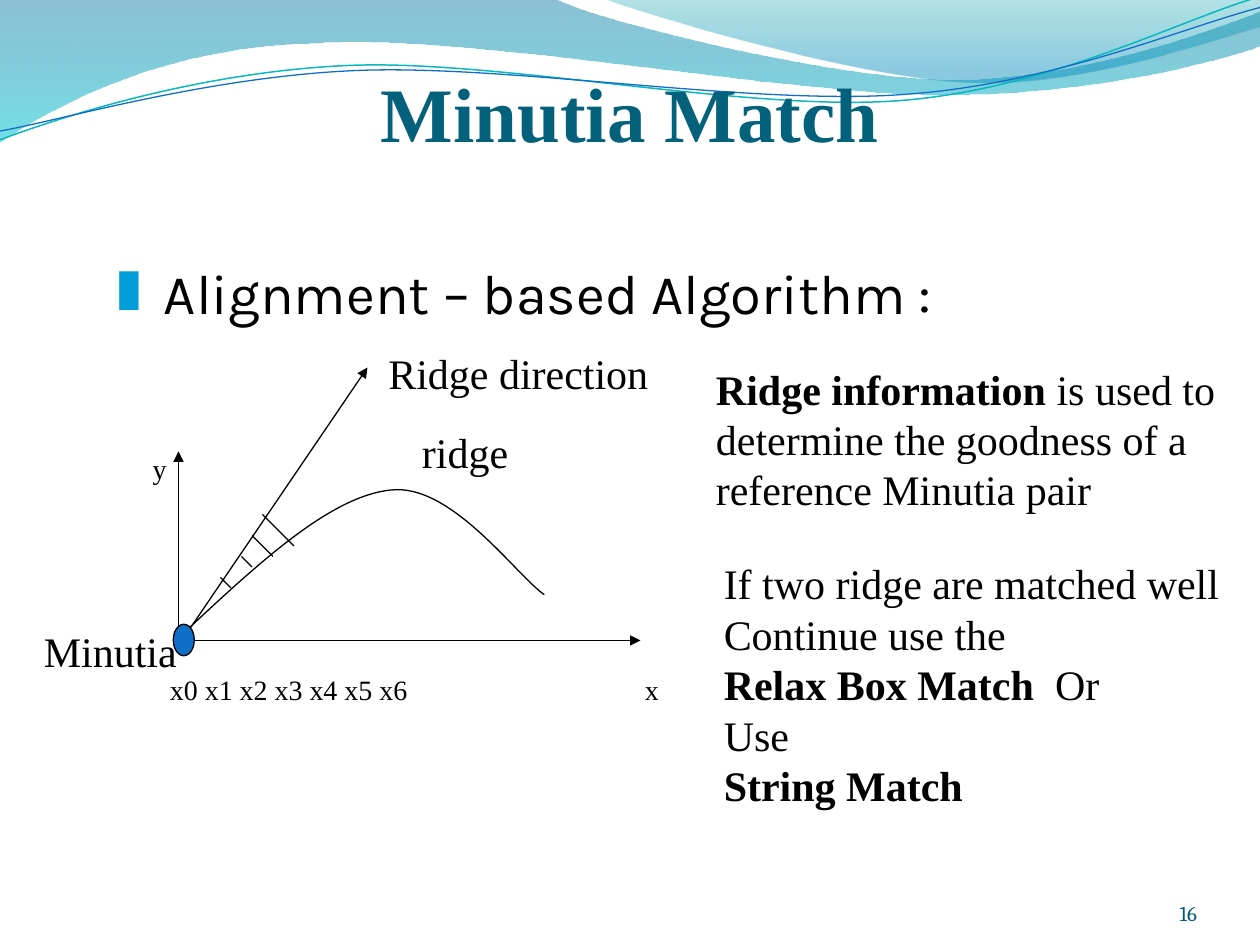
from pptx import Presentation
from pptx.dml.color import RGBColor
from pptx.enum.shapes import MSO_CONNECTOR, MSO_SHAPE
from pptx.enum.text import MSO_ANCHOR, MSO_AUTO_SIZE, PP_ALIGN
from pptx.oxml.ns import qn
from pptx.util import Inches, Pt
from lxml import etree

LEFT, CENTER, RIGHT = PP_ALIGN.LEFT, PP_ALIGN.CENTER, PP_ALIGN.RIGHT
BOTTOM, TOP = MSO_ANCHOR.BOTTOM, MSO_ANCHOR.TOP
FIT, NO_FIT = MSO_AUTO_SIZE.SHAPE_TO_FIT_TEXT, MSO_AUTO_SIZE.NONE
STRAIGHT, OVAL = MSO_CONNECTOR.STRAIGHT, MSO_SHAPE.OVAL
color = RGBColor.from_string

prs = Presentation()
prs.slide_width, prs.slide_height = Inches(10), Inches(7.5)
s = prs.slides.add_slide(prs.slide_layouts[6])
shapes = s.shapes
TENTH = prs.slide_width / 10
CELL = prs.slide_width / 120


def add_curve(segments, closed=False):
    pts = [(round(x * TENTH), round(y * TENTH)) for seg in segments for x, y in seg]
    fb = shapes.build_freeform(*pts[0], scale=1.0)
    fb.add_line_segments(pts[1:], close=closed)
    sp = fb.convert_to_shape()
    sp.shadow.inherit = False
    lines = iter(list(sp._element.spPr.iter(qn("a:lnTo"))))
    for seg in segments[1:]:
        steps = [next(lines) for _ in seg]
        if len(steps) == 3:
            curve = etree.Element(qn("a:cubicBezTo"))
            steps[0].addprevious(curve)
            for step in steps:
                curve.append(step[0])
                step.getparent().remove(step)
    return sp


def add_text(box, paras, size, font="Times New Roman", rgb="000000", wrap=False,
             anchor=TOP, align=LEFT, fit=FIT, insets=(0.1, 0.05, 0.1, 0.05)):
    sp = shapes.add_textbox(*[round(v * CELL) for v in box])
    tf = sp.text_frame
    frame = {"word_wrap": wrap, "auto_size": fit, "vertical_anchor": anchor}
    frame.update(zip(("margin_left", "margin_top", "margin_right", "margin_bottom"),
                     map(Inches, insets)))
    for name, value in frame.items():
        setattr(tf, name, value)
    for i, runs in enumerate(paras):
        p = tf.paragraphs[0] if i == 0 else tf.add_paragraph()
        p.alignment = align
        for text, bold in runs:
            for j, line in enumerate(text.split("\n")):
                if j:
                    p.add_line_break()
                r = p.add_run()
                r.text = line
                for name, value in {"size": Pt(size), "name": font, "bold": bold}.items():
                    setattr(r.font, name, value)
                r.font.color.rgb = color(rgb)
    return tf.paragraphs[0]


waves = [
    ([[(0, 0)], [(4.4, -0.01)], [(4.76, 0.17), (6.64, 0.63), (7.58, 0.63)],
      [(8.53, 0.63), (9.58, 0.26), (10, 0.09)], [(10.01, 0.36)],
      [(9.83, 0.44), (8.7, 0.76), (7.46, 0.75)], [(6.22, 0.75), (3.82, 0.28), (2.57, 0.34)],
      [(1.29, 0.36), (0.46, 0.83), (-0.01, 1.13)]],
     [(0, "0074A1", 45), (1, "00C6CF", 55)]),
    ([[(4.79, -0.01)], [(5.09, 0.11), (6.82, 0.62), (7.69, 0.65)],
      [(8.56, 0.69), (9.61, 0.32), (10, 0.21)], [(10, 0)]],
     [(0, "00A1A9", 30), (0.8, "008BBF", 45)]),
]
for path, stops in waves:
    sp = add_curve(path, closed=True)
    sp.fill.gradient()
    sp.fill.gradient_angle = 270
    for stop, (pos, rgb, alpha) in zip(sp.fill.gradient_stops, stops):
        stop.position = pos
        stop.color.rgb = color(rgb)
    for clr, (pos, rgb, alpha) in zip(sp._element.spPr.iter(qn("a:srgbClr")), stops):
        etree.SubElement(clr, qn("a:alpha"), val=str(alpha * 1000))
    sp.line.fill.background()

strokes = [
    ([[(0, 1.11)], [(0.48, 0.93), (1.58, 0.57), (2.77, 0.52)],
      [(3.95, 0.47), (5.93, 0.89), (7.13, 0.8)], [(8.33, 0.71), (9.38, 0.15), (9.98, -0.02)]],
     "0AB8BF", 0.85),
    ([[(0, 1.04)], [(0.47, 0.96), (1.64, 0.61), (2.83, 0.56)],
      [(4.03, 0.51), (5.97, 0.84), (7.17, 0.75)], [(8.36, 0.67), (9.41, 0.21), (10, 0.06)]],
     "0F6FC6", 0.75),
    ([[(1.42, 5.06)], [(2.02, 4.5), (2.61, 3.94), (3.1, 3.89)],
      [(3.58, 3.83), (4.1, 4.57), (4.32, 4.72)]], "000000", 0.75),
]
for path, rgb, width in strokes:
    sp = add_curve(path)
    sp.fill.background()
    sp.line.color.rgb = color(rgb)
    sp.line.width = Pt(width)

arrows = [(17, 61, 61, 61), (17, 61, 17, 43), (18, 60, 35, 35)]
ticks = [(21, 55, 22, 56), (23, 53, 24, 54), (24, 51, 26, 53), (25, 49, 28, 52)]
for ends in arrows + ticks:
    cx = shapes.add_connector(STRAIGHT, *[round(v * CELL) for v in ends])
    cx.line.color.rgb = color("000000")
    cx.line.width = Pt(0.75)
    if ends in arrows:
        etree.SubElement(cx.line._get_or_add_ln(), qn("a:tailEnd"), type="triangle")
    etree.SubElement(cx._element.spPr, qn("a:effectLst"))

sp = shapes.add_shape(OVAL, *[round(v * CELL) for v in (16.5, 59.45, 2, 3)])
sp.shadow.inherit = False
sp.fill.solid()
sp.fill.fore_color.rgb = color("0F6FC6")
sp.line.color.rgb = color("000000")
sp.line.width = Pt(0.75)

add_text((6, 0, 108, 15), [[("Minutia Match", True)]], 44, rgb="04617B", wrap=True,
         anchor=BOTTOM, align=CENTER, fit=NO_FIT, insets=(0, 0.05, 0, 0))
add_text((104, 83.4, 10, 4.8), [[("16", False)]], 12, "Cambria", "045D75", wrap=True,
         anchor=BOTTOM, align=RIGHT, fit=NO_FIT, insets=(0, 0, 0, 0))

p = add_text((10, 24, 86.4, 7.6), [[("Alignment – based Algorithm :\t", False)]], 32, "Karla")
pPr = p._p.get_or_add_pPr()
pPr.set("marL", str(Inches(0.37)))
pPr.set("indent", str(-Inches(0.37)))
before = etree.SubElement(pPr, qn("a:spcBef"))
etree.SubElement(before, qn("a:spcPct"), val="20000")
bu = etree.SubElement(pPr, qn("a:buClr"))
etree.SubElement(bu, qn("a:srgbClr"), val="009DD9")
etree.SubElement(pPr, qn("a:buFont"), typeface="Times New Roman")
etree.SubElement(pPr, qn("a:buChar"), char="❚")

labels = [
    ((39, 40, 10.7, 6), "ridge", 24),
    ((3, 59, 15.1, 6), "Minutia", 24),
    ((35.8, 32.5, 27.4, 6), "Ridge direction", 24),
    ((13.35, 42.45, 3.7, 4.4), "y", 16),
]
for box, text, size in labels:
    add_text(box, [[(text, False)]], size)

p = add_text((15, 63.5, 50, 4.4), [[("x0 x1 x2 x3 x4 x5 x6\tx", False)]], 16, wrap=True)
tabs = etree.SubElement(p._p.get_or_add_pPr(), qn("a:tabLst"))
etree.SubElement(tabs, qn("a:tab"), pos=str(Inches(3.77)), algn="l")

add_text((67, 34, 51, 15.6),
         [[("Ridge information", True),
           (" is used to \ndetermine the goodness of a\nreference Minutia pair", False)]], 24)
add_text((67.75, 52.55, 50, 25.4),
         [[("If two ridge are matched well\nContinue use the", False)],
          [("Relax Box Match", True), ("  Or", False)],
          [("Use", False)],
          [("String Match", True)]], 24)

prs.save("out.pptx")
